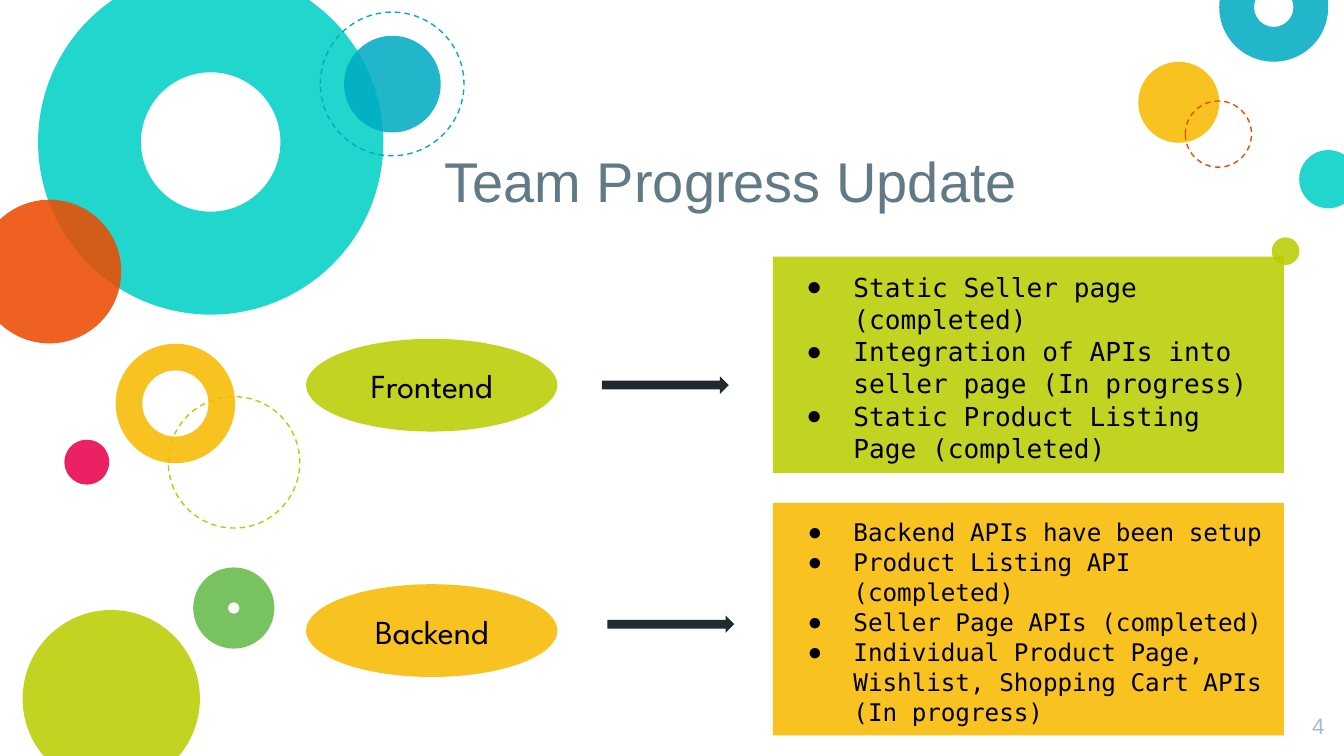
from dataclasses import dataclass

from lxml.etree import SubElement
from pptx import Presentation
from pptx.dml.color import RGBColor
from pptx.enum.dml import MSO_LINE
from pptx.enum.shapes import MSO_SHAPE as Preset
from pptx.enum.text import MSO_ANCHOR as Anchor, MSO_AUTO_SIZE as AutoSize, PP_ALIGN as Align
from pptx.oxml.ns import qn
from pptx.util import Pt

LIME, TEAL, CYAN = "BBCD00", "00D1C6", "00ACC3"
ORANGE, AMBER, GREEN, PINK = "ED4A00", "F8BB00", "65BB48", "E8004C"
BLACK, SLATE, MIST, INK = "000000", "617A86", "A1BECC", "212A2E"
OPACITY = 87


@dataclass
class Circle:
    left: float
    top: float
    size: float
    color: str
    ring: float = 0
    dashed: bool = False


@dataclass
class Team:
    name: str
    color: str
    oval_top: float
    arrow_left: float
    arrow_top: float
    list_top: float
    list_height: float
    size: float
    hanging: float
    items: list[str]


CIRCLES = [
    Circle(90.2, 212.5, 70.4, LIME, dashed=True),
    Circle(20.4, -16.4, 185, TEAL, ring=0.298),
    Circle(-12, 107, 77, ORANGE),
    Circle(184.3, 19.2, 51.8, CYAN),
    Circle(62, 184.2, 64, AMBER, ring=0.223),
    Circle(12.1, 326.8, 95, LIME),
    Circle(103.5, 304, 43.5, GREEN, ring=0.429),
    Circle(34.5, 235.6, 24, PINK),
    Circle(609.8, 33.1, 43.4, AMBER),
    Circle(696, 80.4, 31.2, TEAL),
    Circle(653.2, -25.3, 58.4, CYAN, ring=0.319),
    Circle(681.3, 127.2, 14.8, LIME),
    Circle(171.6, 6.5, 77, CYAN, dashed=True),
    Circle(635, 54.1, 35.5, ORANGE, dashed=True),
]

TEAMS = [
    Team("Frontend", LIME, 181.5, 322.4, 201.6, 137.5, 116, 14, 25.2, [
        "Static Seller page (completed)",
        "Integration of APIs into seller page (In progress)",
        "Static Product Listing Page (completed)",
    ]),
    Team("Backend", AMBER, 313, 325.4, 329.7, 269.4, 124.6, 13, 24.5, [
        "Backend APIs have been setup",
        "Product Listing API (completed)",
        "Seller Page APIs (completed)",
        "Individual Product Page, Wishlist, Shopping Cart APIs (In progress)",
    ]),
]


def rgb(color: str) -> RGBColor:
    return RGBColor.from_string(color)


def paint(shape, color: str, opacity: int = 100) -> None:
    shape.fill.solid()
    shape.fill.fore_color.rgb = rgb(color)
    if opacity < 100:
        tint = shape.fill._xPr.find(qn("a:solidFill"))[0]
        SubElement(tint, qn("a:alpha"), val=str(opacity * 1000))


def add_preset(page, preset, left: float, top: float, width: float, height: float):
    shape = page.shapes.add_shape(preset, Pt(left), Pt(top), Pt(width), Pt(height))
    shape.shadow.inherit = False
    shape.line.fill.background()
    return shape


def place(box, left: float, top: float, width: float, height: float) -> None:
    box.left, box.top, box.width, box.height = Pt(left), Pt(top), Pt(width), Pt(height)


def set_frame(box, anchor):
    frame = box.text_frame
    frame.word_wrap = True
    frame.auto_size = AutoSize.NONE
    frame.vertical_anchor = anchor
    frame.margin_left = frame.margin_right = Pt(7.2)
    frame.margin_top = frame.margin_bottom = Pt(7.2)
    return frame


def style(para, font: str, size: float, color: str, align=Align.LEFT) -> None:
    para.alignment = align
    para.font.name = font
    para.font.size = Pt(size)
    para.font.color.rgb = rgb(color)


def write(box, text: str, font: str, size: float, color: str, anchor, align) -> None:
    para = set_frame(box, anchor).paragraphs[0]
    para.text = text
    style(para, font, size, color, align)


def add_bullet(para, hanging: float) -> None:
    props = para._p.get_or_add_pPr()
    props.set("marL", str(Pt(36)))
    props.set("indent", str(-Pt(hanging)))
    tint = SubElement(props, qn("a:buClr"))
    SubElement(tint, qn("a:srgbClr"), val=BLACK)
    SubElement(props, qn("a:buChar"), char="●")


def draw_circle(page, circle: Circle) -> None:
    preset = Preset.DONUT if circle.ring else Preset.OVAL
    shape = add_preset(page, preset, circle.left, circle.top, circle.size, circle.size)
    if circle.ring:
        shape.adjustments[0] = circle.ring
    if circle.dashed:
        shape.fill.background()
        shape.line.color.rgb = rgb(circle.color)
        shape.line.width = Pt(0.75)
        shape.line.dash_style = MSO_LINE.DASH
    else:
        paint(shape, circle.color, OPACITY)


def draw_team(page, team: Team, body) -> None:
    oval = add_preset(page, Preset.OVAL, 164, team.oval_top, 134.6, 49.7)
    paint(oval, team.color, OPACITY)
    write(oval, team.name, "League Spartan", 18, BLACK, Anchor.MIDDLE, Align.CENTER)

    arrow = add_preset(page, Preset.RIGHT_ARROW, team.arrow_left, team.arrow_top, 68, 9.4)
    paint(arrow, INK)

    page.shapes.element.append(body.element)
    place(body, 414, team.list_top, 273.8, team.list_height)
    paint(body, team.color, OPACITY)
    frame = set_frame(body, Anchor.TOP)
    for index, item in enumerate(team.items):
        para = frame.paragraphs[0] if index == 0 else frame.add_paragraph()
        para.text = item
        add_bullet(para, team.hanging)
        para.space_before = Pt(0)
        para.line_spacing = 1.03
        style(para, "DejaVu Sans Mono", team.size, BLACK)


def main() -> None:
    deck = Presentation()
    deck.slide_width, deck.slide_height = Pt(720), Pt(405)
    page = deck.slides.add_slide(deck.slide_layouts[3])
    title, *bodies = list(page.placeholders)

    for circle in CIRCLES:
        draw_circle(page, circle)

    page.shapes.element.append(title.element)
    place(title, 231, 71.3, 415.4, 50.4)
    write(title, "Team Progress Update", "Arial", 30, SLATE, Anchor.BOTTOM, Align.LEFT)

    number = page.shapes.add_textbox(Pt(680), Pt(374.4), Pt(36.7), Pt(31))
    write(number, "4", "Arial", 12, MIST, Anchor.TOP, Align.RIGHT)

    for team, body in zip(TEAMS, bodies):
        draw_team(page, team, body)

    deck.save("out.pptx")


if __name__ == "__main__":
    main()
